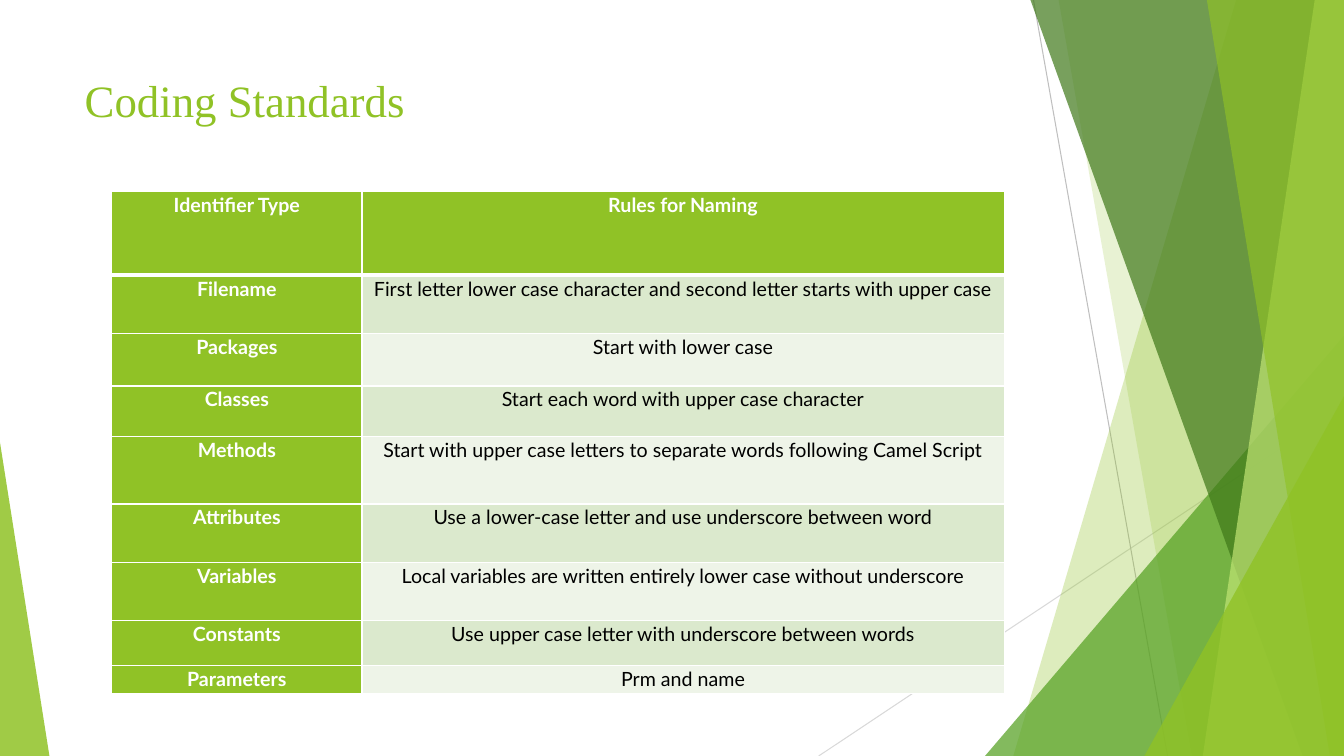
from lxml import etree
from pptx import Presentation
from pptx.dml.color import RGBColor
from pptx.enum.shapes import MSO_CONNECTOR
from pptx.enum.text import MSO_ANCHOR, PP_ALIGN
from pptx.oxml.ns import qn
from pptx.util import Pt

PX = 9144  # EMU per px, 100 px to the inch
LINE = MSO_CONNECTOR.STRAIGHT
TOP = MSO_ANCHOR.TOP
LEFT, CENTER = PP_ALIGN.LEFT, PP_ALIGN.CENTER

WHITE = RGBColor(0xFF, 0xFF, 0xFF)
BLACK = RGBColor(0, 0, 0)
LIME = RGBColor(0x90, 0xC2, 0x26)
GREEN = RGBColor(0x54, 0xA0, 0x21)
FOREST = RGBColor(0x3F, 0x78, 0x19)
PALE = RGBColor(0xC0, 0xE4, 0x74)
BANDS = RGBColor(0xDB, 0xE9, 0xCD), RGBColor(0xEE, 0xF4, 0xE8)
GRAY = RGBColor(0xBF, 0xBF, 0xBF)
SILVER = RGBColor(0xD9, 0xD9, 0xD9)

# Points are relative to the box of the region
RAYS = [
    ((0, 750), (521, 403), SILVER),
    ((213, 0), (346, 750), GRAY),
]
FACETS = [
    ([(414, 0), (193, 750), (521, 750), (521, 0)], LIME, 30),
    ([(238, 0), (370, 750), (521, 750), (521, 0)], LIME, 20),
    ([(165, 750), (521, 333), (521, 750)], GREEN, 72),
    ([(210, 0), (480, 750), (521, 750), (521, 0)], FOREST, 70),
    ([(492, 0), (381, 750), (521, 750), (521, 0)], PALE, 70),
    ([(385, 0), (507, 750), (521, 750), (521, 0)], LIME, 65),
    ([(323, 750), (521, 393), (521, 750)], LIME, 80),
]
WEDGE = [([(0, 0), (49, 311), (0, 311)], LIME, 85)]

COLS = [248, 637]
ROWS = [
    (83, "Identifier Type", "Rules for Naming"),
    (58, "Filename",
     "First letter lower case character and second letter starts with upper case"),
    (52, "Packages", "Start with lower case"),
    (50, "Classes", "Start each word with upper case character"),
    (67, "Methods",
     "Start with upper case letters to separate words following Camel Script"),
    (58, "Attributes", "Use a lower-case letter and use underscore between word"),
    (58, "Variables",
     "Local variables are written entirely lower case without underscore"),
    (44, "Constants", "Use upper case letter with underscore between words"),
    (28, "Parameters", "Prm and name"),
]


def emu(*sizes):
    return [round(size * PX) for size in sizes]


def style(target, **values):
    for name, value in values.items():
        setattr(target, name, value)


def add_rays(slide, box, rays):
    x, y = box[:2]
    for (x1, y1), (x2, y2), color in rays:
        ray = slide.shapes.add_connector(
            LINE, *emu(x + x1, y + y1, x + x2, y + y2))
        ray.line.width = Pt(0.75)
        ray.line.color.rgb = color
        etree.SubElement(ray.element.spPr, qn("a:effectLst"))


def add_facets(slide, box, facets):
    """Draw see-through polygons, each with its opacity in percent."""
    for points, color, alpha in facets:
        pen = slide.shapes.build_freeform(*points[0], scale=PX)
        pen.add_line_segments(points[1:])
        facet = pen.convert_to_shape(*emu(*box[:2]))
        facet.shadow.inherit = False
        facet.line.fill.background()
        facet.fill.solid()
        facet.fill.fore_color.rgb = color
        tint = facet.element.spPr.find(".//" + qn("a:srgbClr"))
        etree.SubElement(tint, qn("a:alpha"), val=str(alpha * 1000))


def add_title(slide, box, text):
    title = slide.shapes.title
    places = zip(("left", "top", "width", "height"), emu(*box))
    style(title, **dict(places))
    frame = title.text_frame
    style(frame, text=text, vertical_anchor=TOP, word_wrap=True)
    line = frame.paragraphs[0]
    line.alignment = LEFT
    style(line.font, name="Times New Roman", size=Pt(32))
    line.font.color.rgb = LIME


def add_edges(cell, widths):
    """Add white borders with widths in points, keyed by side."""
    props = cell._tc.get_or_add_tcPr()
    for side, width in widths.items():
        edge = etree.SubElement(props, qn("a:ln" + side), w=str(Pt(width)))
        fill = etree.SubElement(edge, qn("a:solidFill"))
        etree.SubElement(fill, qn("a:srgbClr"), val=str(WHITE))


def fill_cell(cell, text, row, col):
    pad = round(7 * PX)
    style(cell, text=text, vertical_anchor=TOP, margin_left=pad,
          margin_right=pad, margin_top=0, margin_bottom=0)
    add_edges(cell, {"L": 1, "R": 1, "T": 3 if row == 1 else 1,
                     "B": 3 if row == 0 else 1})
    head = row == 0 or col == 0
    cell.fill.solid()
    cell.fill.fore_color.rgb = LIME if head else BANDS[(row - 1) % 2]
    line = cell.text_frame.paragraphs[0]
    style(line, alignment=CENTER, line_spacing=1.07)
    style(line.font, name="Lato", size=Pt(14), bold=head)
    line.font.color.rgb = WHITE if head else BLACK


def add_rules(slide, box):
    table = slide.shapes.add_table(len(ROWS), len(COLS), *emu(*box)).table
    for col, width in zip(table.columns, emu(*COLS)):
        col.width = width
    for row, (height, *texts) in enumerate(ROWS):
        table.rows[row].height = round(height * PX)
        for col, text in enumerate(texts):
            fill_cell(table.cell(row, col), text, row, col)


def main():
    deck = Presentation()
    deck.slide_width, deck.slide_height = emu(1333, 750)
    slide = deck.slides.add_slide(deck.slide_layouts[5])
    right = (812, 0, 521, 750)
    add_rays(slide, right, RAYS)
    add_facets(slide, right, FACETS)
    add_facets(slide, (0, 439, 49, 311), WEDGE)
    add_title(slide, (74, 67, 940, 144), "Coding Standards")
    add_rules(slide, (111, 190, 885, 498))
    deck.save("out.pptx")


if __name__ == "__main__":
    main()
